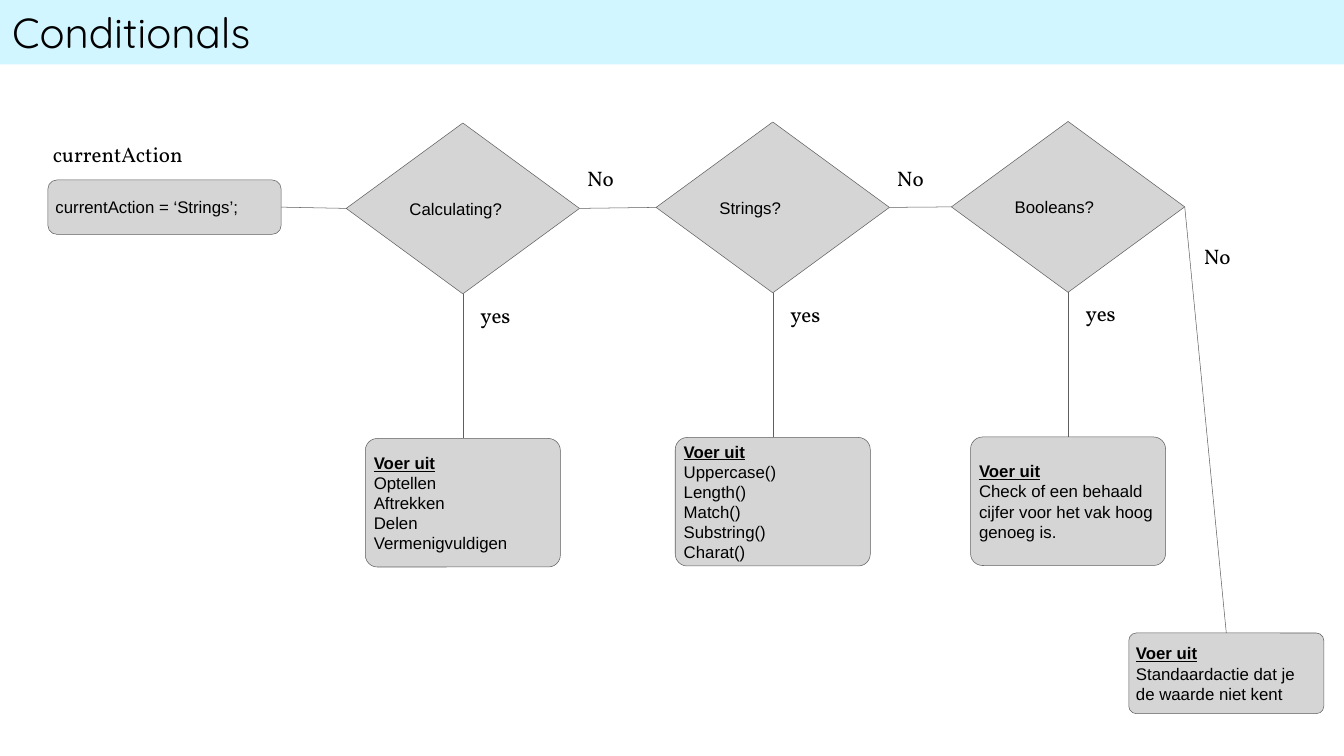
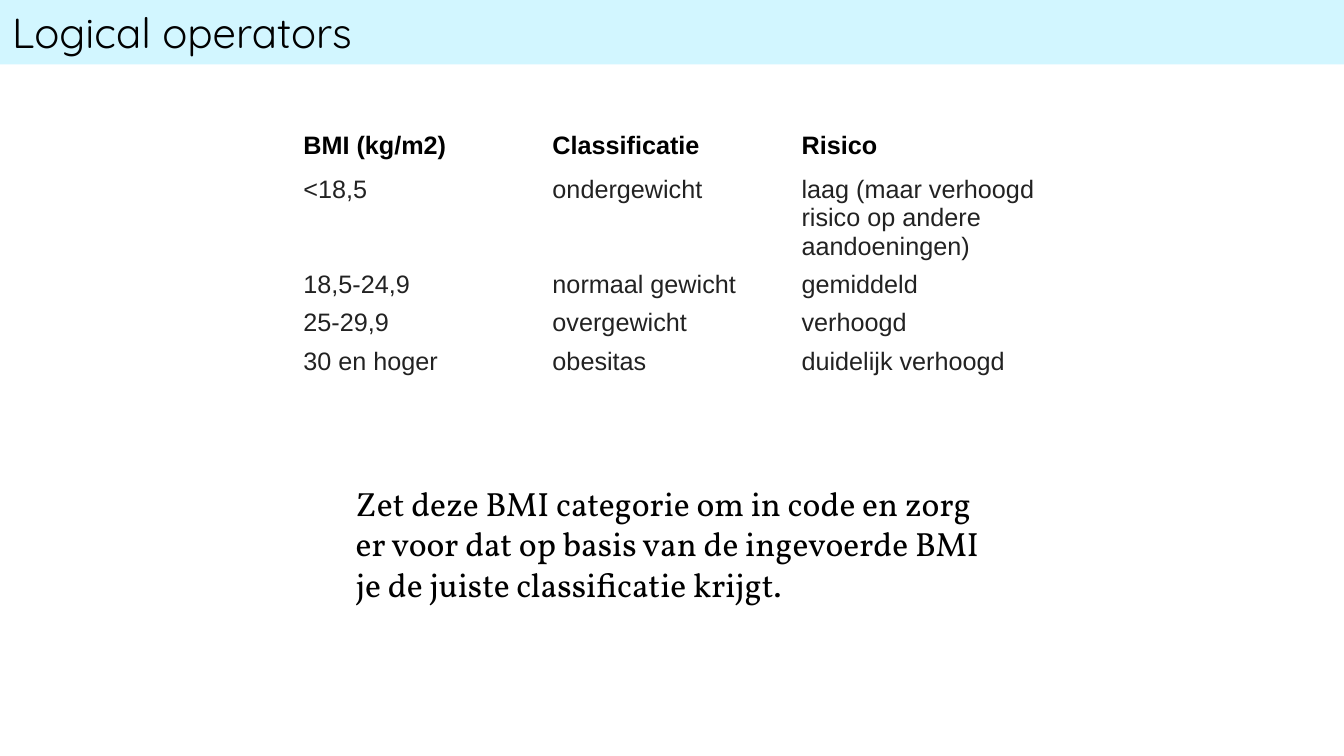
from lxml.etree import SubElement
from pptx import Presentation
from pptx.dml.color import RGBColor
from pptx.enum.shapes import MSO_CONNECTOR, MSO_SHAPE
from pptx.enum.text import MSO_ANCHOR, MSO_AUTO_SIZE, PP_ALIGN
from pptx.oxml.ns import qn
from pptx.util import Inches, Pt

COLORS = {
    "band": "D2F6FF", "node": "D5D5D5", "line": "5E5E5E",
    "text": "000000", "cell": "FFFFFF", "cell_text": "222222",
}
WIDTH, HEIGHT = 26.67, 15
BAND_HEIGHT = 1.28
INSET = 0.1
TOP, LEFT, BOTTOM, RIGHT = range(4)  # connection sites of a node

FLOW_TITLE = "Conditionals"
VARIABLE = "currentAction"
ASSIGNMENT = "currentAction = ‘Strings’;"
OUTCOME_HEADING = "Voer uit"
# question, left and top of its diamond, actions when the answer is yes
DECISIONS = [
    ("Calculating?", 6.87, 2.44,
     ["Optellen", "Aftrekken", "Delen", "Vermenigvuldigen"]),
    ("Strings?", 13.02, 2.42,
     ["Uppercase()", "Length()", "Match()", "Substring()", "Charat()"]),
    ("Booleans?", 18.88, 2.41,
     ["Check of een behaald cijfer voor het vak hoog genoeg is."]),
]
DEFAULT_ACTION = ["Standaardactie dat je de waarde niet kent"]

TABLE_TITLE = "Logical operators"
BMI_ROWS = [
    ("BMI (kg/m2)", "Classificatie", "Risico"),
    ("<18,5", "ondergewicht",
     "laag (maar verhoogd risico op andere aandoeningen)"),
    ("18,5-24,9", "normaal gewicht", "gemiddeld"),
    ("25-29,9", "overgewicht", "verhoogd"),
    ("30 en hoger", "obesitas", "duidelijk verhoogd"),
]
ROW_HEIGHTS = [0.96, 1.87, 0.76, 0.76, 0.76]
EXERCISE = ("Zet deze BMI categorie om in code en zorg er voor dat op basis "
            "van de ingevoerde BMI je de juiste classificatie krijgt.")

DIAMOND = (4.63, 3.39)
START_BOX = (0.95, 3.57, 4.63, 1.08)
OUTCOME_WIDTH, OUTCOME_HEIGHT = 3.87, 2.55
OUTCOME_GAP = 2.87
DEFAULT_BOX = (22.4, 12.56, OUTCOME_WIDTH, 1.6)
LABEL = (0.85, 0.66)


def color(name):
    return RGBColor.from_string(COLORS[name])


def inches(values):
    return [Inches(value) for value in values]


def fill_solid(item, name):
    item.fill.solid()
    item.fill.fore_color.rgb = color(name)


def set_font(paragraph, size, name="Arial", tint="text"):
    paragraph.alignment = PP_ALIGN.LEFT
    paragraph.font.size = Pt(size)
    paragraph.font.name = name
    paragraph.font.color.rgb = color(tint)


def set_insets(frame, side=INSET, vertical=INSET):
    frame.margin_left = frame.margin_right = Inches(side)
    frame.margin_top = frame.margin_bottom = Inches(vertical)


def add_page(deck, title_text):
    """Add a slide whose title placeholder is the coloured band."""
    page = deck.slides.add_slide(deck.slide_layouts.get_by_name("Title Only"))
    title = page.shapes.title
    title.left, title.top, title.width, title.height = inches(
        (0, 0, WIDTH, BAND_HEIGHT))
    fill_solid(title, "band")
    frame = title.text_frame
    frame.text = title_text
    frame.auto_size = MSO_AUTO_SIZE.NONE
    frame.vertical_anchor = MSO_ANCHOR.TOP
    set_insets(frame, 0.24, 0.12)
    set_font(frame.paragraphs[0], 60, "Quicksand")
    return page


def add_text(page, text, place, size=30):
    frame = page.shapes.add_textbox(*inches(place)).text_frame
    frame.word_wrap = True
    set_insets(frame)
    frame.text = text
    set_font(frame.paragraphs[0], size, "Vollkorn")


def add_node(page, kind, place, lines, corner=None):
    node = page.shapes.add_shape(kind, *inches(place))
    node.shadow.inherit = False
    if corner is not None:
        node.adjustments[0] = corner
    fill_solid(node, "node")
    node.line.color.rgb = color("line")
    node.line.width = Pt(0.75)
    frame = node.text_frame
    frame.word_wrap = True
    frame.vertical_anchor = MSO_ANCHOR.MIDDLE
    set_insets(frame)
    frame.text = "\n".join(lines)
    for paragraph in frame.paragraphs:
        set_font(paragraph, 24)
    return node


def add_outcome(page, place, actions):
    box = add_node(page, MSO_SHAPE.ROUNDED_RECTANGLE, place,
                   [OUTCOME_HEADING, *actions], 0.093)
    heading = box.text_frame.paragraphs[0]
    heading.font.bold = True
    heading.font.underline = True
    return box


def connect(page, start, start_site, end, end_site):
    line = page.shapes.add_connector(MSO_CONNECTOR.STRAIGHT, 0, 0, 0, 0)
    line.begin_connect(start, start_site)
    line.end_connect(end, end_site)
    line.line.color.rgb = color("line")
    line.line.width = Pt(0.75)
    SubElement(line._element.spPr, qn("a:effectLst"))


def build_flowchart(deck):
    page = add_page(deck, FLOW_TITLE)
    add_text(page, VARIABLE, (START_BOX[0], 2.7, 3.4, 0.35))
    previous = add_node(page, MSO_SHAPE.ROUNDED_RECTANGLE, START_BOX,
                        [ASSIGNMENT], 0.167)
    width, height = DIAMOND
    for question, left, top, actions in DECISIONS:
        center, right, bottom = left + width / 2, left + width, top + height
        diamond = add_node(page, MSO_SHAPE.DIAMOND, (left, top, *DIAMOND),
                           [question])
        outcome = add_outcome(
            page, (center - OUTCOME_WIDTH / 2, bottom + OUTCOME_GAP,
                   OUTCOME_WIDTH, OUTCOME_HEIGHT), actions)
        connect(page, previous, RIGHT, diamond, LEFT)
        connect(page, diamond, BOTTOM, outcome, TOP)
        add_text(page, "yes", (center + 0.25, bottom + 0.07, *LABEL))
        is_last = question == DECISIONS[-1][0]
        no_place = (right + 0.28, 4.73) if is_last else (right + 0.05, 3.19)
        add_text(page, "No", (*no_place, *LABEL))
        previous = diamond
    fallback = add_outcome(page, DEFAULT_BOX, DEFAULT_ACTION)
    connect(page, fallback, TOP, previous, RIGHT)


def build_bmi_table(deck):
    page = add_page(deck, TABLE_TITLE)
    place = (5.92, 2.43, 14.83, sum(ROW_HEIGHTS))
    table = page.shapes.add_table(
        len(BMI_ROWS), len(BMI_ROWS[0]), *inches(place)).table
    table.horz_banding = False
    for row, height, texts in zip(table.rows, ROW_HEIGHTS, BMI_ROWS):
        row.height = Inches(height)
        is_header = texts is BMI_ROWS[0]
        for cell, text in zip(row.cells, texts):
            fill_solid(cell, "cell")
            set_insets(cell)
            cell.text = text
            paragraph = cell.text_frame.paragraphs[0]
            set_font(paragraph, 36, tint="text" if is_header else "cell_text")
            paragraph.font.bold = is_header
            if is_header:
                paragraph.line_spacing = 1.15
    add_text(page, EXERCISE, (6.96, 9.48, 12.76, 2.71), 48)


def main():
    deck = Presentation()
    deck.slide_width, deck.slide_height = inches((WIDTH, HEIGHT))
    build_flowchart(deck)
    build_bmi_table(deck)
    deck.save("out.pptx")


if __name__ == "__main__":
    main()
